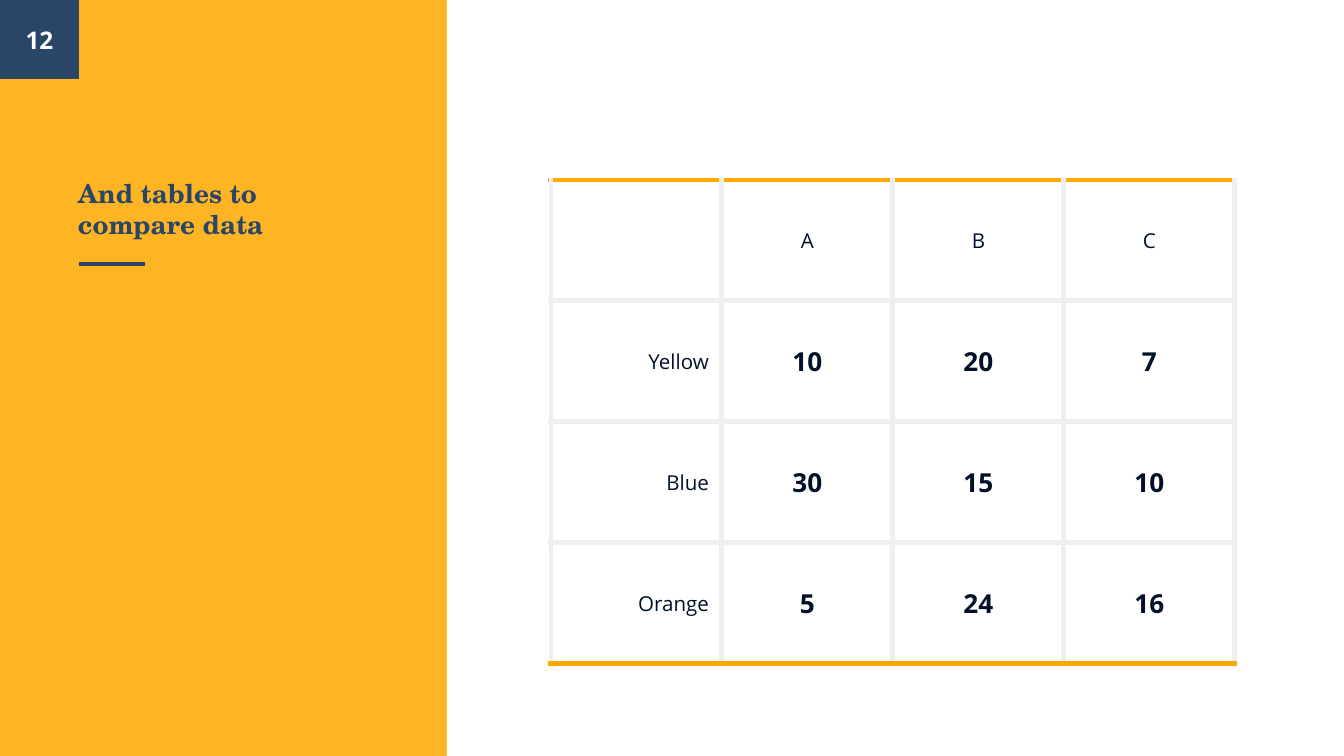
import pptx
import pptx.dml.color
import pptx.enum.shapes
import pptx.enum.text
import pptx.oxml.ns
import pptx.util
from lxml import etree

RGBColor = pptx.dml.color.RGBColor
ALIGN = pptx.enum.text.PP_ALIGN
MIDDLE = pptx.enum.text.MSO_ANCHOR.MIDDLE
BOTTOM = pptx.enum.text.MSO_ANCHOR.BOTTOM
qn = pptx.oxml.ns.qn

HEADING = "And tables to compare data"
PAGE_NUMBER = "12"
ROWS = [
    ("", "A", "B", "C"),
    ("Yellow", "10", "20", "7"),
    ("Blue", "30", "15", "10"),
    ("Orange", "5", "24", "16"),
]

AMBER = RGBColor(0xFF, 0xA8, 0x00)
NAVY = RGBColor(0x29, 0x46, 0x67)
INK = RGBColor(0x02, 0x10, 0x28)
GRID = RGBColor(0xEF, 0xEF, 0xEF)
WHITE = RGBColor(0xFF, 0xFF, 0xFF)
HEADING_FONT = "TeX Gyre Schola"
BODY_FONT = "Open Sans"

WIDTH, HEIGHT = 1344, 756
PANEL_WIDTH = 447
BADGE = 79
TABLE_LEFT, TABLE_TOP = 551, 180
COLUMN_WIDTH, ROW_HEIGHT = 171, 121
INSET = 13


def px(length):
    return round(length * 914400 / 134.4)


def box(*lengths):
    return [px(length) for length in lengths]


def add_block(slide, left, top, width, height, color):
    block = slide.shapes.add_shape(
        pptx.enum.shapes.MSO_SHAPE.RECTANGLE, *box(left, top, width, height))
    block.shadow.inherit = False
    block.fill.solid()
    block.fill.fore_color.rgb = color
    block.line.fill.background()
    return block


def write(frame, text, size, font, color, bold, align):
    paragraph = frame.paragraphs[0]
    paragraph.alignment = align
    run = paragraph.add_run()
    run.text = text
    run.font.size = pptx.util.Pt(size)
    run.font.name = font
    run.font.color.rgb = color
    run.font.bold = bold


def set_frame(frame, anchor):
    frame.word_wrap = True
    frame.auto_size = pptx.enum.text.MSO_AUTO_SIZE.NONE
    frame.vertical_anchor = anchor
    frame.margin_left = frame.margin_right = px(INSET)
    frame.margin_top = frame.margin_bottom = px(INSET)


def set_borders(cell, top, bottom):
    properties = cell._tc.get_or_add_tcPr()
    for side, color in (("L", GRID), ("R", GRID), ("T", top), ("B", bottom)):
        border = etree.SubElement(
            properties, qn("a:ln" + side), w=str(pptx.util.Pt(3)))
        fill = etree.SubElement(border, qn("a:solidFill"))
        etree.SubElement(fill, qn("a:srgbClr"), val=str(color))


def add_comparison(slide):
    last = len(ROWS) - 1
    columns = len(ROWS[0])
    table = slide.shapes.add_table(
        len(ROWS), columns,
        *box(TABLE_LEFT, TABLE_TOP, COLUMN_WIDTH * columns,
             ROW_HEIGHT * len(ROWS))).table
    table.first_row = table.horz_banding = False
    for r, row in enumerate(ROWS):
        for c, text in enumerate(row):
            cell = table.cell(r, c)
            set_borders(cell, AMBER if r == 0 else GRID,
                        AMBER if r == last else GRID)
            cell.fill.background()
            cell.vertical_anchor = MIDDLE
            cell.margin_left = cell.margin_right = px(INSET)
            cell.margin_top = cell.margin_bottom = px(9)
            if text:
                is_value = r > 0 and c > 0
                write(cell.text_frame, text, 14 if is_value else 11,
                      BODY_FONT, INK, is_value,
                      ALIGN.CENTER if c else ALIGN.RIGHT)


def main():
    deck = pptx.Presentation()
    deck.slide_width, deck.slide_height = box(WIDTH, HEIGHT)
    slide = deck.slides.add_slide(deck.slide_layouts[5])

    panel = add_block(slide, 0, 0, PANEL_WIDTH, HEIGHT, AMBER)
    amber_fill = panel._element.spPr.find(qn("a:solidFill"))
    etree.SubElement(amber_fill[0], qn("a:alpha"), val="86000")
    add_block(slide, PANEL_WIDTH, 0, WIDTH - PANEL_WIDTH, HEIGHT, WHITE)

    rule = slide.shapes.add_connector(
        pptx.enum.shapes.MSO_CONNECTOR.STRAIGHT, *box(79, 264, 145, 264))
    rule.line.color.rgb = NAVY
    rule.line.width = pptx.util.Pt(2.25)
    etree.SubElement(rule._element.spPr, qn("a:effectLst"))

    add_block(slide, 0, 0, BADGE, BADGE, NAVY)

    heading = slide.shapes.title
    heading.left, heading.top, heading.width, heading.height = box(
        65, 153, 316, 100)
    set_frame(heading.text_frame, BOTTOM)
    write(heading.text_frame, HEADING, 14, HEADING_FONT, NAVY, True,
          ALIGN.LEFT)
    slide.shapes._spTree.append(heading._element)

    add_comparison(slide)

    number = slide.shapes.add_textbox(*box(-1, 0, BADGE + 2, BADGE))
    set_frame(number.text_frame, MIDDLE)
    write(number.text_frame, PAGE_NUMBER, 13, BODY_FONT, WHITE, True,
          ALIGN.CENTER)

    deck.save("out.pptx")


if __name__ == "__main__":
    main()
